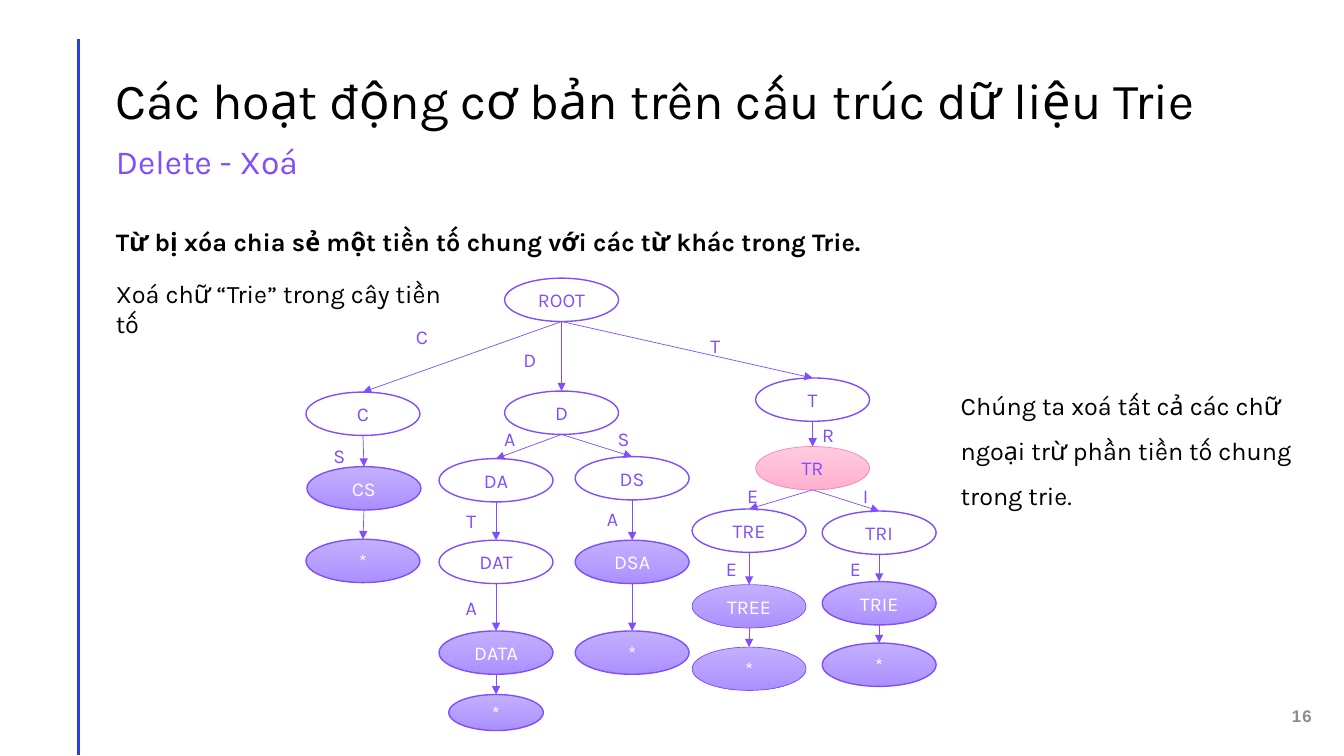
from lxml.etree import SubElement
from pptx import Presentation
from pptx.dml.color import RGBColor
from pptx.enum.shapes import MSO_CONNECTOR as CONN, MSO_SHAPE as SHAPE
from pptx.enum.text import MSO_ANCHOR as ANCHOR, MSO_AUTO_SIZE as FIT, PP_ALIGN as ALIGN
from pptx.oxml.ns import qn
from pptx.util import Pt

EMU_PER_PX = 9144  # 100 px to the inch
NODE_W, NODE_H = 113, 43
PURPLE, BLACK, WHITE = "814DFF", "000000", "FFFFFF"

# fill colours from top to bottom, outline colour, text colour
NODE_STYLES = {
    "plain": ((WHITE,), PURPLE, PURPLE),
    "word": (("C2B0FF", "AB90FF"), PURPLE, WHITE),
    "prefix": (("FFCBDF", "FFB1CF"), "FF83B6", PURPLE),
}

# key: (text, centre x, top, style, outline in points, scale)
NODES = {
    "root": ("ROOT", 557, 276, "plain", 1, 1),
    "c": ("C", 360, 389, "plain", 1, 1),
    "cs": ("CS", 361, 463, "word", 1, 1),
    "cs end": ("*", 360, 535, "word", 1, 1),
    "d": ("D", 557, 388, "plain", 1, 1),
    "da": ("DA", 492, 455, "plain", 1, 1),
    "dat": ("DAT", 492, 536, "plain", 1, 1),
    "data": ("DATA", 492, 626, "word", 1, 1),
    "data end": ("*", 492, 689, "word", 1, 0.83),
    "ds": ("DS", 627, 453, "plain", 1, 1),
    "dsa": ("DSA", 627, 536, "word", 1, 1),
    "dsa end": ("*", 627, 626, "word", 1, 1),
    "t": ("T", 806, 375, "plain", 1, 1),
    "tr": ("TR", 806, 443, "prefix", 0.5, 1),
    "tre": ("TRE", 743, 505, "plain", 1, 1),
    "tree": ("TREE", 743, 580, "word", 0.5, 1),
    "tree end": ("*", 743, 642, "word", 0.5, 1),
    "tri": ("TRI", 872, 507, "plain", 1, 1),
    "trie": ("TRIE", 872, 577, "word", 1, 1),
    "trie end": ("*", 872, 638, "word", 1, 1),
}

# (parent, child, letter, letter's left and top)
EDGES = [
    ("root", "c", "C", 407, 321),
    ("root", "d", "D", 514, 344),
    ("root", "t", "T", 698, 330),
    ("c", "cs", "S", 325, 439),
    ("d", "da", "A", 494, 422),
    ("d", "ds", "S", 607, 422),
    ("da", "dat", "T", 456, 504),
    ("dat", "data", "A", 456, 590),
    ("ds", "dsa", "A", 596, 502),
    ("t", "tr", "R", 810, 418),
    ("tr", "tre", "E", 735, 479),
    ("tr", "tri", "I", 847, 479),
    ("tre", "tree", "E", 714, 551),
    ("tri", "trie", "E", 837, 551),
]
WORDS = ("cs", "data", "dsa", "tree", "trie")


def px(n):
    return round(n * EMU_PER_PX)


def rgb(code):
    return RGBColor.from_string(code)


class Deck:
    def __init__(self, width, height):
        self.prs = Presentation()
        self.prs.slide_width, self.prs.slide_height = px(width), px(height)
        self.slide = self.prs.slides.add_slide(self.prs.slide_layouts[0])

    def set_text(self, s, text, size, color, align=ALIGN.LEFT, anchor=ANCHOR.TOP,
                 inset=None, fit=FIT.NONE, wrap=True, spacing=1.0, bold=False, font="Karla"):
        tf = s.text_frame
        frame = dict(word_wrap=wrap, auto_size=fit, vertical_anchor=anchor)
        if inset is not None:
            sides = ("left", "right", "top", "bottom")
            frame.update({f"margin_{side}": px(inset) for side in sides})
        p = tf.paragraphs[0]
        r = p.add_run()
        r.text = text
        formats = (
            (tf, frame),
            (p, dict(alignment=align, line_spacing=spacing, space_before=Pt(0))),
            (r.font, dict(name=font, size=Pt(size), bold=bold)),
        )
        for target, values in formats:
            for name, value in values.items():
                setattr(target, name, value)
        r.font.color.rgb = rgb(color)
        return r

    def placeholder(self, index, box, text, size, color):
        s = self.slide.placeholders[index]
        s.left, s.top, s.width, s.height = map(px, box)
        self.set_text(s, text, size, color)

    def text(self, box, text, size, color, **style):
        s = self.slide.shapes.add_textbox(*map(px, box))
        return self.set_text(s, text, size, color, **style)

    def line(self, start, end, color, width, arrow=False):
        s = self.slide.shapes.add_connector(CONN.STRAIGHT, *map(px, (*start, *end)))
        s.line.color.rgb = rgb(color)
        s.line.width = Pt(width)
        if arrow:
            SubElement(s.line._get_or_add_ln(), qn("a:tailEnd"), type="triangle")
        SubElement(s._element.spPr, qn("a:effectLst"))

    def node(self, text, cx, top, style, outline, scale):
        fills, edge, ink = NODE_STYLES[style]
        w, h = NODE_W * scale, NODE_H * scale
        s = self.slide.shapes.add_shape(SHAPE.OVAL, *map(px, (cx - w / 2, top, w, h)))
        s.shadow.inherit = False
        if len(fills) == 1:
            s.fill.solid()
            s.fill.fore_color.rgb = rgb(fills[0])
        else:
            s.fill.gradient()
            s.fill.gradient_angle = 270
            for stop, color in zip(s.fill.gradient_stops, fills):
                stop.color.rgb = rgb(color)
        s.line.color.rgb = rgb(edge)
        s.line.width = Pt(outline)
        self.set_text(s, text, 14, ink, align=ALIGN.CENTER, anchor=ANCHOR.MIDDLE,
                      inset=0, wrap=False)

    def edge(self, parent, child):
        """Arrow from the bottom of one node to the top of another."""
        _, x1, top, *_ = NODES[parent]
        _, x2, y2, *_ = NODES[child]
        self.line((x1, top + NODE_H), (x2, y2), PURPLE, 0.5, arrow=True)


def main():
    deck = Deck(1333, 750)
    deck.line((78, 39), (78, 749), "2B3FE0", 2)
    deck.placeholder(0, (105, 64, 1124, 71),
                     "Các hoạt động cơ bản trên cấu trúc dữ liệu Trie", 36, BLACK)
    deck.placeholder(1, (105, 135, 395, 50), "Delete - Xoá", 24, PURPLE)

    body = dict(size=18, color=BLACK, fit=FIT.SHAPE_TO_FIT_TEXT)
    deck.text((105, 205, 765, 51),
              "Từ bị xóa chia sẻ một tiền tố chung với các từ khác trong Trie.",
              spacing=1.5, bold=True, **body)
    deck.text((105, 271, 362, 71), "Xoá chữ “Trie” trong cây tiền tố", **body)
    deck.text((943, 367, 368, 142),
              "Chúng ta xoá tất cả các chữ ngoại trừ phần tiền tố chung trong trie.",
              spacing=1.5, **body)

    for node in NODES.values():
        deck.node(*node)
    for parent, child, letter, left, top in EDGES:
        deck.edge(parent, child)
        deck.text((left, top, 23, 26), letter, 14, PURPLE, align=ALIGN.CENTER,
                  anchor=ANCHOR.MIDDLE, inset=0, wrap=False)
    for word in WORDS:
        deck.edge(word, f"{word} end")

    number = deck.text((1011, 690, 300, 40), "16", 12, "8C8C8C", align=ALIGN.RIGHT,
                       anchor=ANCHOR.MIDDLE, bold=True, font="Arial")
    number._r.get_or_add_rPr().set("spc", "100")
    deck.prs.save("out.pptx")


if __name__ == "__main__":
    main()
